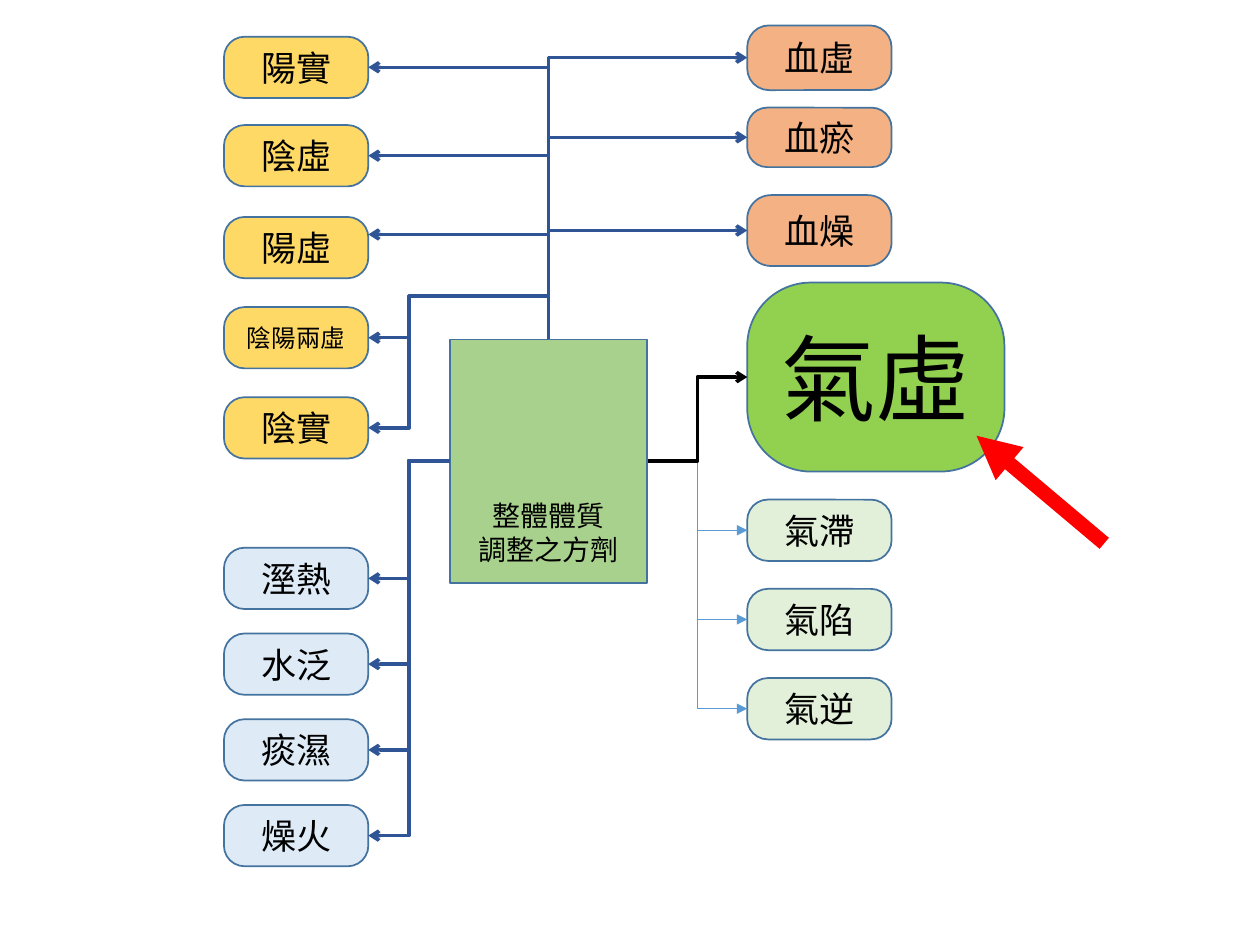
from lxml.etree import SubElement
from pptx import Presentation
from pptx.dml.color import RGBColor
from pptx.enum.shapes import MSO_CONNECTOR, MSO_SHAPE
from pptx.enum.text import MSO_ANCHOR, PP_ALIGN
from pptx.oxml.ns import qn
from pptx.util import Pt

FONT = "Noto Sans CJK SC"
NAVY, BLUE, BLACK, RED = "2F5597", "5B9BD5", "000000", "FF0000"
YELLOW, ORANGE, PALE_BLUE = "FFD966", "F4B183", "DEEBF7"
PALE_GREEN, GREEN, SAGE = "E2F0D9", "92D050", "A9D18E"
LEFT_X, RIGHT_X, BOX_W, BOX_H = 128, 427, 82.5, 35
TOP, LEFT, BOTTOM, RIGHT = range(4)


def color(hex_string):
    return RGBColor.from_string(hex_string)


class Diagram:
    outline = "43739E"

    def __init__(self, slide):
        self.shapes = slide.shapes

    def set_text(self, sp, text, size):
        tf = sp.text_frame
        tf.word_wrap = True
        tf.text = text
        for p in tf.paragraphs:
            p.alignment = PP_ALIGN.CENTER
            for r in p.runs:
                r.font.size = Pt(size)
                r.font.name = FONT
                r.font.color.rgb = color(BLACK)
                SubElement(r.font._element, qn("a:ea"), typeface=FONT)

    def box(self, x, y, w, h, fill, kind=MSO_SHAPE.RECTANGLE):
        sp = self.shapes.add_shape(kind, Pt(x), Pt(y), Pt(w), Pt(h))
        sp.shadow.inherit = False
        sp.fill.solid()
        sp.fill.fore_color.rgb = color(fill)
        sp.line.color.rgb = color(self.outline)
        sp.line.width = Pt(1)
        return sp

    def pill(self, text, x, y, fill, w=BOX_W, h=BOX_H, size=20):
        sp = self.box(x, y, w, h, fill, MSO_SHAPE.ROUNDED_RECTANGLE)
        sp.adjustments[0] = 0.336
        sp.text_frame.vertical_anchor = MSO_ANCHOR.MIDDLE
        self.set_text(sp, text, size)
        return sp

    def label(self, text, x, y, w, h, size):
        sp = self.shapes.add_textbox(Pt(x), Pt(y), Pt(w), Pt(h))
        self.set_text(sp, text, size)

    def arrow(self, start, end, line, width, tip, kind=MSO_CONNECTOR.ELBOW):
        cxn = self.shapes.add_connector(kind, *map(Pt, start + end))
        cxn.line.color.rgb = color(line)
        cxn.line.width = Pt(width)
        SubElement(cxn.line._get_or_add_ln(), qn("a:tailEnd"), type=tip)
        SubElement(cxn._element.spPr, qn("a:effectLst"))
        return cxn

    def side_arrow(self, source, side, target, line, width, tip):
        cxn = self.arrow((0, 0), (0, 0), line, width, tip)
        cxn.begin_connect(source, side)
        cxn.end_connect(target, LEFT if side == RIGHT else RIGHT)

    def upward_arrow(self, start, end, rise=None, bend=0.773):
        """Leave start upwards; with a rise, turn down again before the end."""
        (x1, y1), (x2, y2) = start, end
        cx, cy = (x1 + x2) / 2, (y1 + y2) / 2
        sign = 1 if x1 > x2 else -1
        # The unrotated frame swaps width and height about the centre
        a, b = sign * (y1 - y2) / 2, sign * (x1 - x2) / 2
        cxn = self.arrow((cx - a, cy + b), (cx + a, cy - b), NAVY, 0, "arrow")
        spPr = cxn._element.spPr
        spPr.find(qn("a:xfrm")).set("rot", str((270 if sign > 0 else 90) * 60000))
        geom = spPr.find(qn("a:prstGeom"))
        geom.set("prst", "bentConnector4" if rise else "bentConnector2")
        if rise:
            av = geom.find(qn("a:avLst"))
            if av is None:
                av = SubElement(geom, qn("a:avLst"))
            for name, value in (("adj1", rise / (y1 - y2)), ("adj2", bend)):
                SubElement(av, qn("a:gd"), name=name, fmla=f"val {round(value * 100000)}")


def main():
    prs = Presentation()
    prs.slide_width, prs.slide_height = Pt(720), Pt(540)
    s = Diagram(prs.slides.add_slide(prs.slide_layouts[6]))

    # Centre
    centre = s.box(257, 194, 113, 139, SAGE)
    s.label("整體體質\n調整之方劑", 251, 281.5, 125, 46, 16)
    top = (313.5, 194)

    # Yin and yang: name, box top, arrow height, text size, rise of the detour
    for text, y, tip_y, size, rise in (
        ("陽實", 21, 38.5, 20, None),
        ("陰虛", 71.5, 89, 20, None),
        ("陽虛", 124, 134, 20, None),
        ("陰陽兩虛", 175.5, 193, 14, 25),
        ("陰實", 227, 244.5, 20, 25),
    ):
        s.pill(text, LEFT_X, y, YELLOW, size=size)
        s.upward_arrow(top, (LEFT_X + BOX_W, tip_y), rise)

    # Blood
    for text, y, h in (("血虛", 14.5, 37), ("血瘀", 61.5, 34), ("血燥", 111.5, 40.5)):
        s.pill(text, RIGHT_X, y, ORANGE, h=h)
        s.upward_arrow(top, (RIGHT_X, y + h / 2))

    # Damp, water, phlegm and fire
    for i, text in enumerate(("溼熱", "水泛", "痰濕", "燥火")):
        target = s.pill(text, LEFT_X, 313 + 49 * i, PALE_BLUE)
        s.side_arrow(centre, LEFT, target, NAVY, 0, "arrow")

    # Qi
    for i, text in enumerate(("氣滯", "氣陷", "氣逆")):
        target = s.pill(text, RIGHT_X, 285.5 + 51 * i, PALE_GREEN)
        s.side_arrow(centre, RIGHT, target, BLUE, 0.5, "triangle")
    main_type = s.pill("氣虛", RIGHT_X, 161.5, GREEN, 147, 108, 54)
    s.side_arrow(centre, RIGHT, main_type, BLACK, 0, "arrow")

    # Pointer to the highlighted type
    s.arrow((631, 310.5), (558, 249), RED, 8.25, "triangle", MSO_CONNECTOR.STRAIGHT)

    prs.save("out.pptx")


if __name__ == "__main__":
    main()
